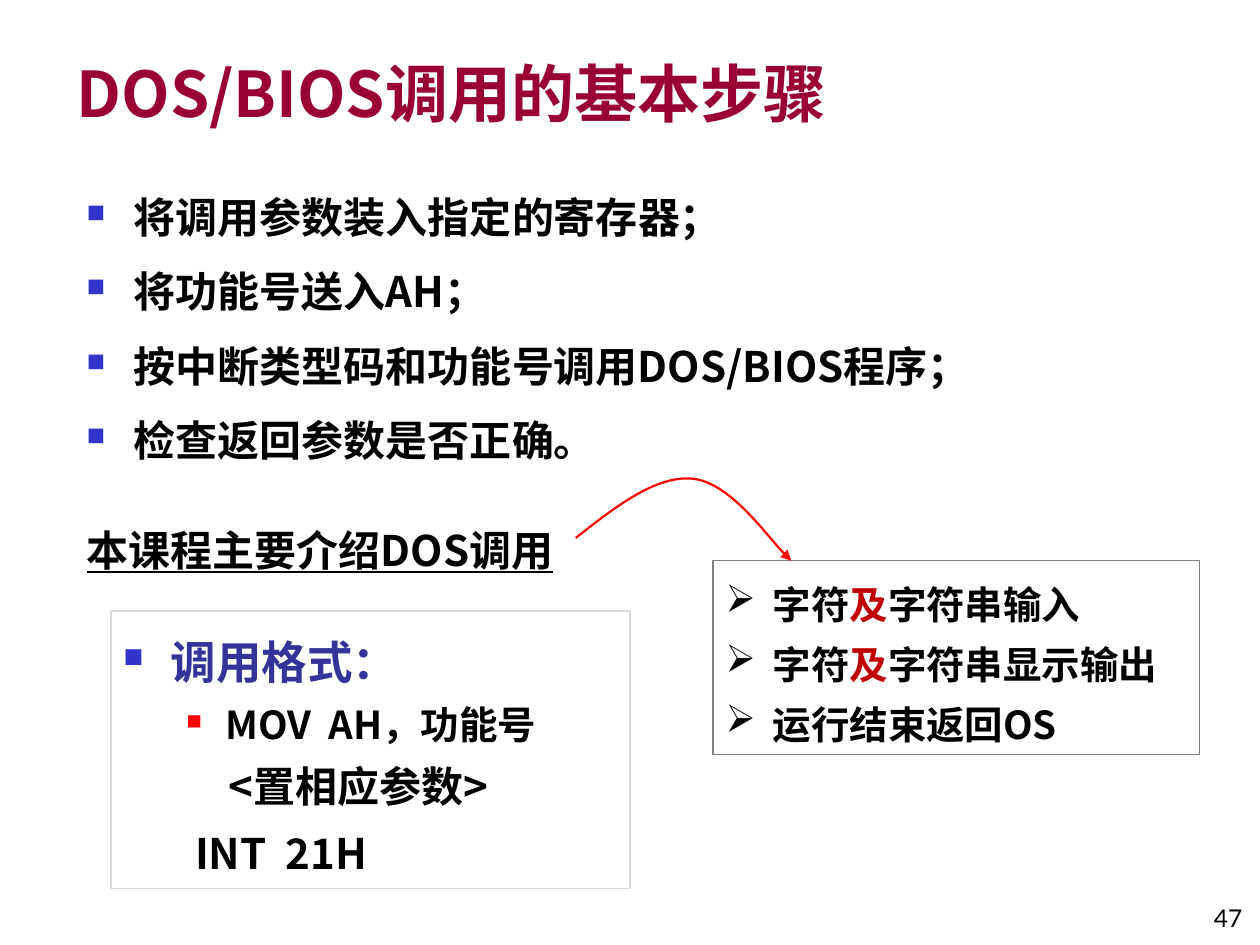
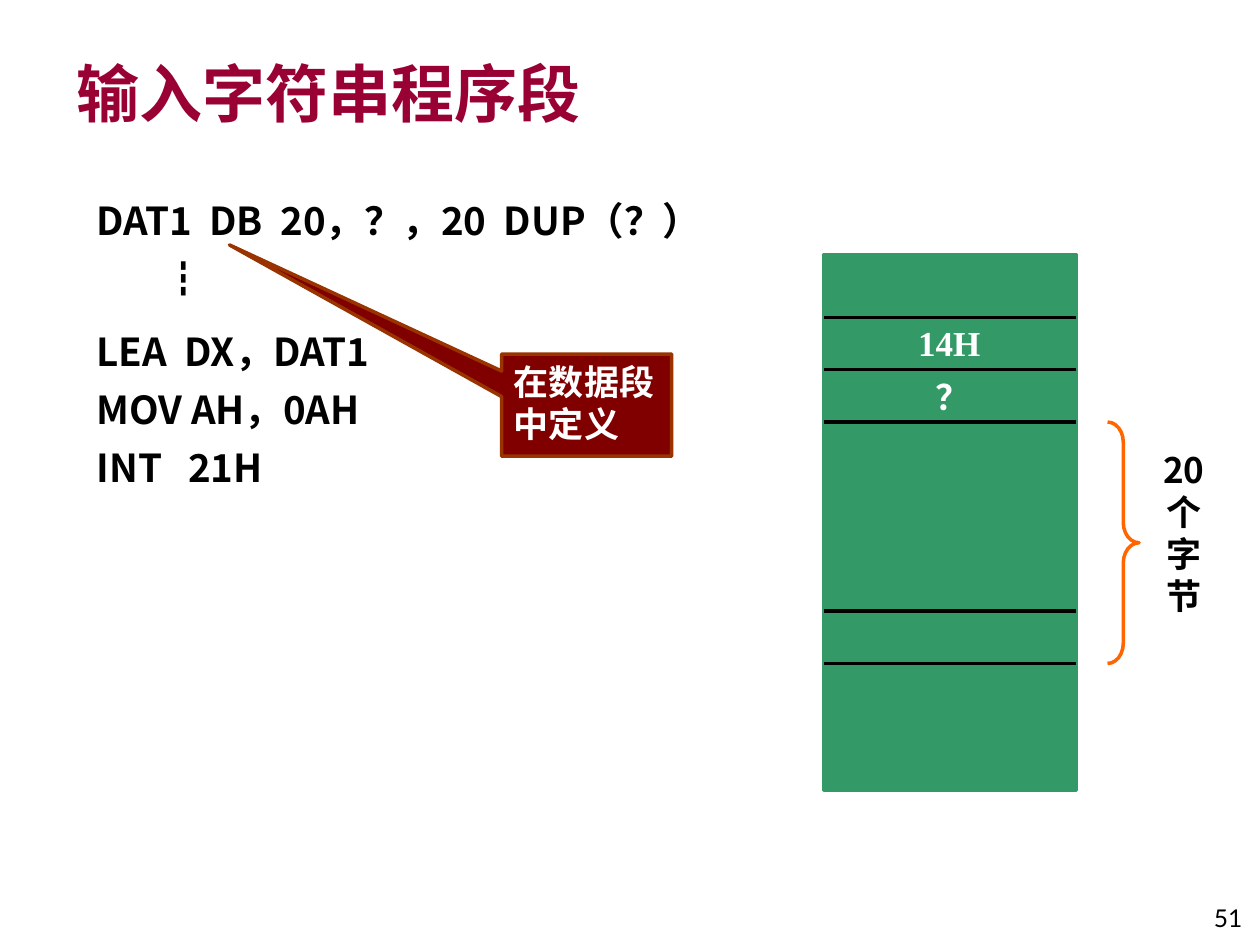
import pptx
import pptx.dml.color
import pptx.enum.shapes
import pptx.enum.text
import pptx.oxml
import pptx.oxml.ns
import pptx.util
import lxml.etree

Pt = pptx.util.Pt
qn = pptx.oxml.ns.qn
RGB = pptx.dml.color.RGBColor.from_string
SHAPE = pptx.enum.shapes.MSO_SHAPE
ALIGN = pptx.enum.text.PP_ALIGN
ANCHOR = pptx.enum.text.MSO_ANCHOR

COLORS = {
    "title": "990033", "text": "000000", "white": "FFFFFF", "bullet": "3333CC",
    "heading": "333399", "red": "FF0000", "emphasis": "C00000",
    "format_border": "D9D9D9", "topic_border": "808080",
    "callout": "800000", "callout_border": "993300",
    "memory": "339966", "brace": "FF6600",
}
CJK_FONT = "Noto Sans CJK SC"


def write_text(shape, paragraphs, anchor=ANCHOR.TOP, margin_top=3.6, **defaults):
    """Fill a shape; each paragraph is (runs, formats), each run (text, formats)."""
    frame = shape.text_frame
    frame.word_wrap = True
    frame.vertical_anchor = anchor
    frame.margin_top = Pt(margin_top)
    for index, (runs, formats) in enumerate(paragraphs):
        paragraph = frame.paragraphs[0] if index == 0 else frame.add_paragraph()
        options = {"size": 24, "color": "text", "name": CJK_FONT, "bold": True,
                   "alignment": ALIGN.LEFT, **defaults, **formats}
        for key in ("alignment", "line_spacing", "space_before", "space_after"):
            if key in options:
                value = options[key]
                setattr(paragraph, key, Pt(value) if key.startswith("space") else value)
        properties = paragraph._p.get_or_add_pPr()
        properties.set("marL", str(Pt(options.get("left", 0))))
        properties.set("indent", str(Pt(options.get("indent", 0))))
        if "bullet" in options:
            character, color, percent = options["bullet"]
            clr = lxml.etree.SubElement(properties, qn("a:buClr"))
            lxml.etree.SubElement(clr, qn("a:srgbClr"), val=COLORS[color])
            lxml.etree.SubElement(properties, qn("a:buSzPct"), val=str(percent * 1000))
            lxml.etree.SubElement(properties, qn("a:buFont"), typeface="Wingdings")
            lxml.etree.SubElement(properties, qn("a:buChar"), char=character)
        else:
            lxml.etree.SubElement(properties, qn("a:buNone"))
        for text, run_formats in [(runs, {})] if isinstance(runs, str) else runs:
            run = paragraph.add_run()
            run.text = text
            look = {**options, **run_formats}
            for key in ("name", "bold", "underline"):
                if key in look:
                    setattr(run.font, key, look[key])
            run.font.size = Pt(look["size"])
            run.font.color.rgb = RGB(COLORS[look["color"]])
            east_asian = lxml.etree.SubElement(run._r.get_or_add_rPr(), qn("a:ea"))
            east_asian.set("typeface", CJK_FONT)


def style_shape(shape, line, width, fill=None):
    """Set line and fill, and drop the theme shadow."""
    shape.line.color.rgb = RGB(COLORS[line])
    shape.line.width = Pt(width)
    if isinstance(shape, pptx.shapes.connector.Connector):
        lxml.etree.SubElement(shape._element.spPr, qn("a:effectLst"))
        return
    shape.shadow.inherit = False
    if fill:
        shape.fill.solid()
        shape.fill.fore_color.rgb = RGB(COLORS[fill])
    else:
        shape.fill.background()


presentation = pptx.Presentation()
presentation.slide_width, presentation.slide_height = Pt(720), Pt(540)

# Shared title and page number
slides = []
for title, number in (("DOS/BIOS调用的基本步骤", "47"), ("输入字符串程序段", "51")):
    slide = presentation.slides.add_slide(presentation.slide_layouts[6])
    title_box = slide.shapes.add_textbox(Pt(36.7), Pt(20.9), Pt(604), Pt(56.9))
    write_text(title_box, [(title, {})], ANCHOR.BOTTOM, size=36, color="title")
    number_box = slide.shapes.add_textbox(Pt(666), Pt(500.4), Pt(51), Pt(36))
    write_text(number_box, [(number, {})], ANCHOR.BOTTOM, size=14, name="Lato",
               bold=False, alignment=ALIGN.RIGHT)
    slides.append(slide)
steps_slide, input_slide = slides

# Steps
hanging = {"left": 27, "indent": -27}
square = {**hanging, "bullet": ("n", "bullet", 60)}
steps = ("将调用参数装入指定的寄存器；", "将功能号送入AH；",
         "按中断类型码和功能号调用DOS/BIOS程序；", "检查返回参数是否正确。")
steps_box = steps_slide.shapes.add_textbox(Pt(42.5), Pt(100), Pt(544.3), Pt(175.7))
write_text(steps_box, [(step, square) for step in steps], alignment=ALIGN.JUSTIFY,
           line_spacing=1.2, space_before=6, space_after=2)

course_box = steps_slide.shapes.add_textbox(Pt(42.5), Pt(296), Pt(336), Pt(36))
write_text(course_box, [("本课程主要介绍DOS调用", {})], underline=True)

# Call format
format_box = steps_slide.shapes.add_shape(SHAPE.RECTANGLE, Pt(63.4), Pt(349.2), Pt(296.6), Pt(158.4))
style_shape(format_box, "format_border", 0.75)
write_text(format_box, [
    ("调用格式：", {**square, "size": 26, "color": "heading", "line_spacing": 1.3, "space_before": 6}),
    ("MOV  AH，功能号", {"size": 22, "left": 58.5, "indent": -22.5, "bullet": ("n", "red", 55)}),
    ("<置相应参数>", {"left": 60}),
    ("INT  21H", {"left": 41, "space_before": 1.5}),
], alignment=ALIGN.JUSTIFY, line_spacing=1.2, space_before=0, space_after=2)

# Topics covered
topics_box = steps_slide.shapes.add_shape(SHAPE.RECTANGLE, Pt(407.5), Pt(320.4), Pt(278), Pt(110.9))
style_shape(topics_box, "topic_border", 0.75)
emphasis = ("及", {"color": "emphasis"})
topics = ([("字符", {}), emphasis, ("字符串输入", {})],
          [("字符", {}), emphasis, ("字符串显示输出", {})],
          "运行结束返回OS")
write_text(topics_box, [(topic, {}) for topic in topics], size=22, line_spacing=1.3,
           bullet=("Ø", "text", 100), **hanging)

# Curved arrow: straight segments become cubic curves, three points each
curve_points = [(329, 307.4), (352, 289.4), (375, 271.4), (396, 273.6),
                (417, 275.8), (442.8, 312.5), (452.2, 320.4)]
builder = steps_slide.shapes.build_freeform(*[Pt(value) for value in curve_points[0]])
builder.add_line_segments([(Pt(x), Pt(y)) for x, y in curve_points[1:]], close=False)
arrow = builder.convert_to_shape()
style_shape(arrow, "red", 1.25)
outline = arrow._element.spPr.find(".//" + qn("a:path"))
segments = outline.findall(qn("a:lnTo"))
for start in range(0, len(segments), 3):
    curve = lxml.etree.SubElement(outline, qn("a:cubicBezTo"))
    for segment in segments[start:start + 3]:
        curve.append(segment[0])
        outline.remove(segment)
lxml.etree.SubElement(arrow.line._get_or_add_ln(), qn("a:tailEnd"), type="triangle")

# Program
program_box = input_slide.shapes.add_textbox(Pt(48.2), Pt(105.8), Pt(413.3), Pt(249))
write_text(program_box, [
    ("DAT1  DB  20，？，20  DUP（？）", {}),
    ("┇", {"left": 39}),
    ("LEA  DX，DAT1", {"space_before": 13}),
    ("MOV AH，0AH", {}),
    ("INT   21H", {}),
], margin_top=6.6, size=22, alignment=ALIGN.JUSTIFY, line_spacing=1.0,
    space_before=5, space_after=2)

callout = input_slide.shapes.add_shape(SHAPE.RECTANGULAR_CALLOUT, Pt(286.6), Pt(202.3), Pt(97.2), Pt(58.3))
callout.adjustments[0], callout.adjustments[1] = -2.1, -1.57
style_shape(callout, "callout_border", 2, "callout")
write_text(callout, [("在数据段中定义", {})], size=20, color="white")

# Memory block with its cell borders
memory_left, memory_width = 470.9, 144
memory = input_slide.shapes.add_group_shape()
block = memory.shapes.add_shape(SHAPE.RECTANGLE, Pt(memory_left), Pt(145.4), Pt(memory_width), Pt(306))
style_shape(block, "memory", 2, "memory")
for y in (181.4, 211.2, 241.2, 349.2, 379.2):
    border = memory.shapes.add_connector(pptx.enum.shapes.MSO_CONNECTOR.STRAIGHT, Pt(memory_left),
                                         Pt(y), Pt(memory_left + memory_width), Pt(y))
    style_shape(border, "text", 2)

brace = input_slide.shapes.add_shape(SHAPE.RIGHT_BRACE, Pt(632.9), Pt(241.2), Pt(18), Pt(138))
brace.adjustments[0], brace.adjustments[1] = 0.64, 0.5
style_shape(brace, "brace", 2)

# Memory labels
for text, left, top, width, height, formats in (
    ("14H", 500.4, 180, 84.2, 31.7, {"name": "Times New Roman", "color": "white"}),
    ("？", 518, 211, 53.3, 31.7, {"name": "Times New Roman", "color": "white"}),
    ("20个字节", 653, 252.7, 46.8, 104.4, {}),
):
    label = input_slide.shapes.add_textbox(Pt(left), Pt(top), Pt(width), Pt(height))
    write_text(label, [(text, formats)], size=20, alignment=ALIGN.CENTER)

presentation.save("out.pptx")
